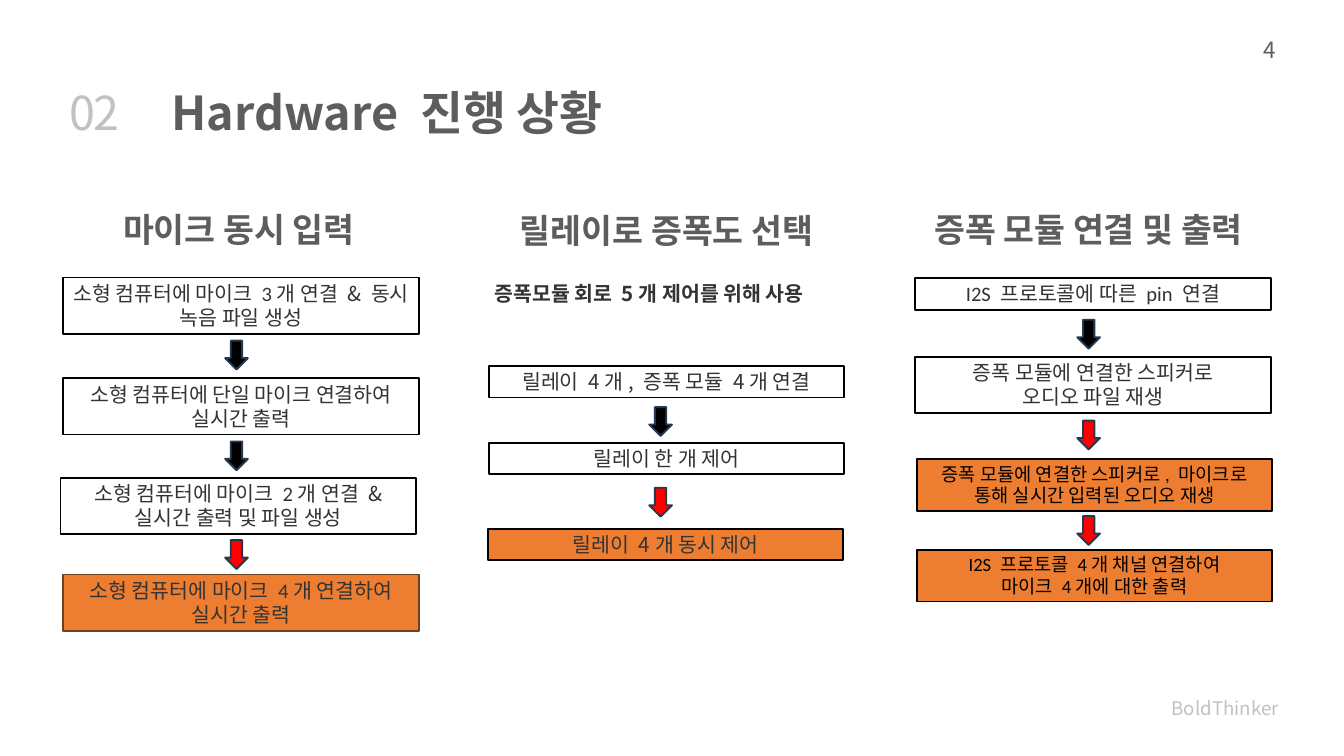
import dataclasses

import pptx
import pptx.dml.color
import pptx.enum.shapes
import pptx.enum.text
import pptx.oxml
import pptx.oxml.ns
import pptx.util

Cm, Pt = pptx.util.Cm, pptx.util.Pt
ALIGN = pptx.enum.text.PP_ALIGN
SHAPE = pptx.enum.shapes.MSO_SHAPE


def rgb(value):
    return pptx.dml.color.RGBColor.from_string(value)


@dataclasses.dataclass
class Theme:
    font: str = "Noto Sans CJK KR"
    latin: str = "Calibri"
    heading: str = "5D5D5D"
    muted: str = "C1C1C1"
    body: str = "333333"
    black: str = "000000"
    white: str = "FFFFFF"
    orange: str = "ED7D31"
    brown: str = "6C421F"
    red: str = "FF0000"
    navy: str = "233953"
    title_size: int = 50
    column_size: int = 36
    page_size: int = 24
    body_size: int = 22
    small_size: int = 20
    line: int = 2
    box_w: float = 13.44
    arrow_w: float = 0.86
    arrow_h: float = 1.09


THEME = Theme()


def write(sp, text, *, size, color, font=THEME.font, alt=THEME.latin,
          bold=False, align=ALIGN.LEFT, spacing=None, tracking=None):
    """Fill a shape: newline starts a paragraph, |...| switches to the alt font."""
    tf = sp.text_frame
    tf.word_wrap = True
    tf.auto_size = pptx.enum.text.MSO_AUTO_SIZE.NONE
    tf.vertical_anchor = pptx.enum.text.MSO_ANCHOR.MIDDLE
    for i, line in enumerate(text.split("\n")):
        p = tf.add_paragraph() if i else tf.paragraphs[0]
        p.alignment = align
        if spacing:
            p.line_spacing = Pt(spacing)
        for j, part in enumerate(line.split("|")):
            r = p.add_run()
            r.text = part
            r.font.name = alt if j % 2 else font
            r.font.size = Pt(size)
            r.font.bold = bold
            r.font.color.rgb = rgb(color)
            # East Asian font and letter spacing
            rpr = r._r.get_or_add_rPr()
            ea = pptx.oxml.parse_xml(
                f'<a:ea {pptx.oxml.ns.nsdecls("a")} typeface="{THEME.font}"/>')
            rpr.find(pptx.oxml.ns.qn("a:latin")).addnext(ea)
            if tracking:
                rpr.set("spc", str(tracking * 100))


class SlideBuilder:
    def __init__(self, prs, theme):
        self.theme = theme
        self.slide = prs.slides.add_slide(prs.slide_layouts[5])

    def title(self, text, x, y, w, h):
        sp = self.slide.shapes.title
        sp.left, sp.top, sp.width, sp.height = Cm(x), Cm(y), Cm(w), Cm(h)
        write(sp, text, size=self.theme.title_size, color=self.theme.heading, bold=True)

    def label(self, text, x, y, w, h, **style):
        sp = self.slide.shapes.add_textbox(Cm(x), Cm(y), Cm(w), Cm(h))
        write(sp, text, **style)

    def shape(self, kind, x, y, w, h, fill, line):
        sp = self.slide.shapes.add_shape(kind, Cm(x), Cm(y), Cm(w), Cm(h))
        sp.shadow.inherit = False
        sp.fill.solid()
        sp.fill.fore_color.rgb = rgb(fill)
        sp.line.color.rgb = rgb(line)
        sp.line.width = Pt(self.theme.line)
        return sp

    def step(self, text, x, y, h, fill, line=THEME.black, size=THEME.body_size,
             color=THEME.body, font=THEME.font):
        sp = self.shape(SHAPE.RECTANGLE, x, y, self.theme.box_w, h, fill, line)
        write(sp, text, size=size, color=color, font=font, align=ALIGN.CENTER,
              spacing=round(size * 1.17, 1))

    def arrow(self, x, y, fill):
        self.shape(SHAPE.DOWN_ARROW, x, y, self.theme.arrow_w, self.theme.arrow_h,
                   fill, self.theme.navy)


def main():
    t = THEME
    prs = pptx.Presentation()
    prs.slide_width, prs.slide_height = Cm(50.8), Cm(28.58)
    s = SlideBuilder(prs, t)

    # Header and footer
    s.title("Hardware 진행 상황", 6.22, 3.02, 30.33, 2.39)
    s.label("02", 2.39, 2.39, 3.05, 3.71, size=t.title_size, color=t.muted, tracking=-2)
    s.label("4", 27.46, 0.97, 21.03, 1.78, size=t.page_size, color=t.heading,
            align=ALIGN.RIGHT)
    s.label("BoldThinker", 26.92, 26.04, 21.67, 1.47, size=t.small_size, color=t.muted,
            align=ALIGN.RIGHT)

    # Column headings
    for text, x, y, w in (("마이크 동시 입력", 2.26, 7.75, 13.54),
                          ("릴레이로 증폭도\u00a0선택".replace("\u00a0", " "), 17.88, 7.8, 14.63),
                          ("증폭 모듈 연결 및 출력", 34.26, 7.75, 13.77)):
        s.label(text, x, y, w, 1.8, size=t.column_size, color=t.heading, bold=True,
                align=ALIGN.CENTER)
    s.label("증폭모듈 회로 5개 제어를 위해 사용", 18.44, 10.49, 13.49, 1.19,
            size=t.body_size, color=t.body, bold=True)

    # Flow steps: text, left, top, height, fill and style
    one, two, small = 1.19, 2.13, 1.96
    latin = dict(font=t.latin)
    dense = dict(font=t.latin, size=t.small_size, color=t.black)
    steps = (
        # Microphone input
        ("소형 컴퓨터에 마이크 |3|개 연결 & 동시 녹음 파일 생성", 2.39, 10.49, two, t.white, {}),
        ("소형 컴퓨터에 단일 마이크 연결하여 실시간 출력", 2.39, 14.3, two, t.white, {}),
        ("소형 컴퓨터에 마이크 |2|개 연결 & 실시간 출력 및 파일 생성", 2.29, 18.06, two,
         t.white, {}),
        ("소형 컴퓨터에 마이크 |4|개 연결하여 실시간 출력", 2.39, 21.72, two, t.orange,
         dict(line=t.brown)),
        # Relay selection
        ("릴레이 4개, 증폭 모듈 4개 연결", 18.47, 13.84, one, t.white, {}),
        ("릴레이 한 개 제어", 18.47, 16.74, one, t.white, {}),
        ("릴레이 4개 동시 제어", 18.44, 19.99, one, t.orange, {}),
        # Amplifier output
        ("I2S 프로토콜에 따른 pin 연결", 34.59, 10.52, one, t.white, latin),
        ("증폭 모듈에 연결한 스피커로\n오디오 파일 재생", 34.59, 13.49, two, t.white, latin),
        ("증폭 모듈에 연결한 스피커로, 마이크로 통해 실시간 입력된 오디오 재생", 34.65, 17.35,
         small, t.orange, dense),
        ("I2S 프로토콜 4개 채널 연결하여\n마이크 4개에 대한 출력", 34.65, 20.78, small,
         t.orange, dense),
    )
    for text, x, y, h, fill, style in steps:
        s.step(text, x, y, h, fill, **style)

    # Arrows: black leads to finished steps, red to open ones
    for x, done, pending in ((8.51, (12.88, 16.69), (20.42,)),
                             (24.54, (15.39,), (18.44,)),
                             (40.72, (12.09,), (15.9, 19.51))):
        for y in done:
            s.arrow(x, y, t.black)
        for y in pending:
            s.arrow(x, y, t.red)

    prs.save("out.pptx")


if __name__ == "__main__":
    main()
